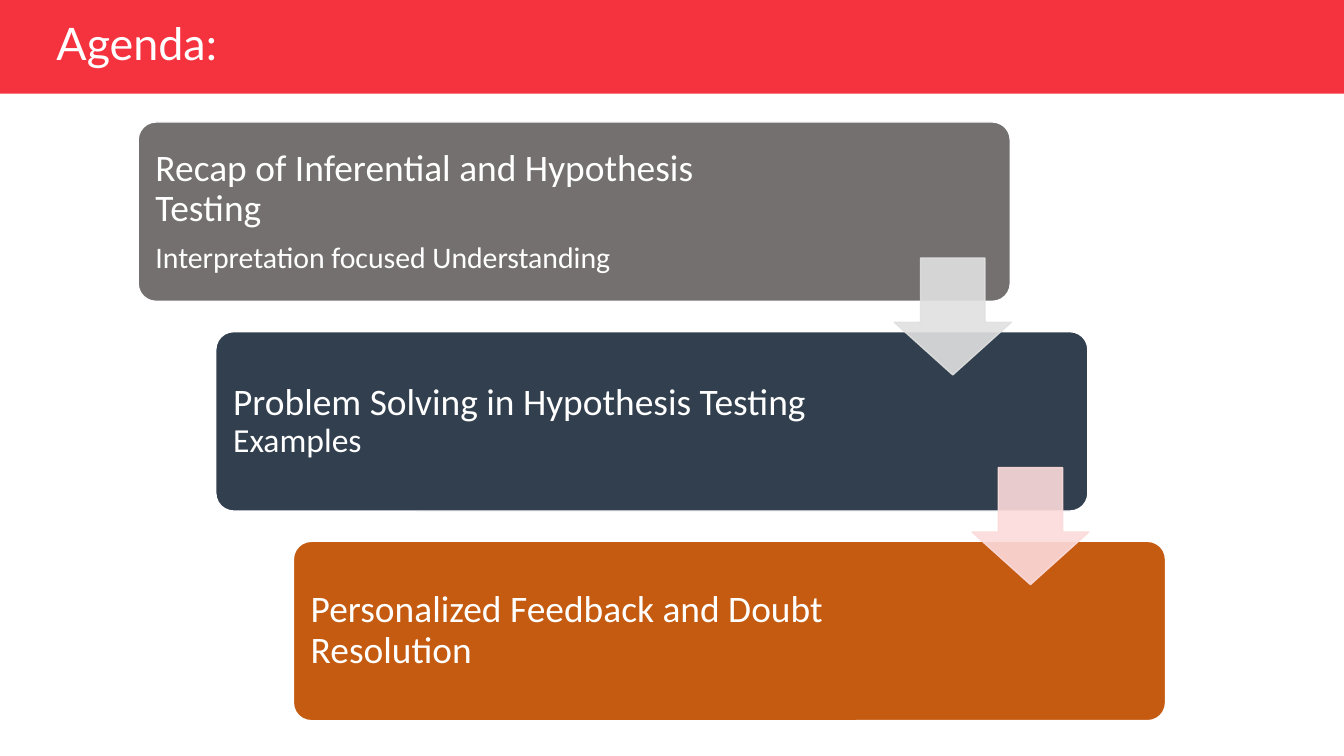
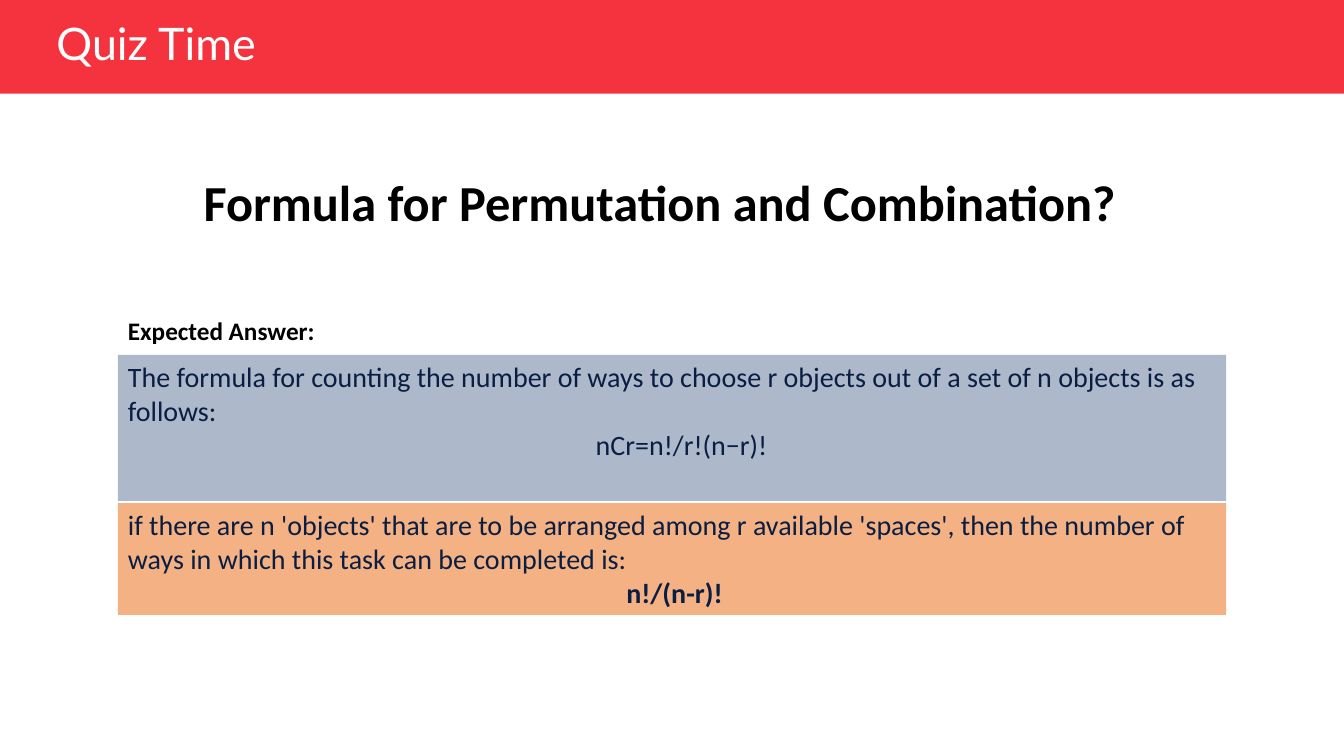
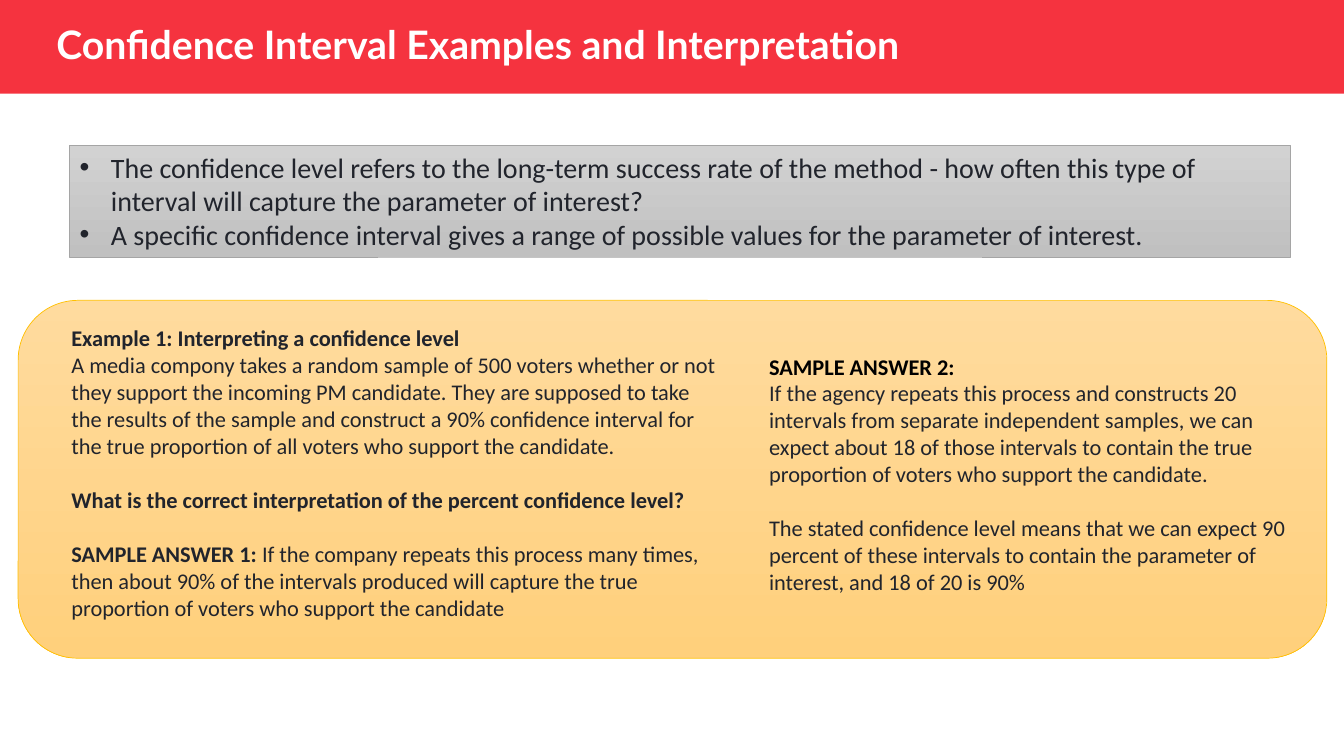
"""Build three statistics lesson slides: agenda, quiz and confidence intervals."""
from dataclasses import dataclass
from typing import Optional, Sequence

from lxml import etree
from pptx import Presentation
from pptx import util as u
from pptx.dml.color import RGBColor
from pptx.enum import shapes, text
from pptx.oxml import ns

COLORS = {
    "band": "F5333F", "white": "FFFFFF", "black": "000000", "ink": "21242C",
    "navy": "091E42", "grey": "757070", "slate": "323F4F", "rust": "C55A11",
    "silver": "E0E0E0", "pink": "FCDBDB", "blue": "ADB9CA", "peach": "F4B183",
    "steel_top": "D2D2D2", "steel_end": "C0C0C0", "steel_line": "A5A5A5",
    "sand_top": "FFDB9E", "sand_end": "FFD07C", "gold": "FFC000",
}
PAGE_WIDTH, PAGE_HEIGHT = 13.33, 7.5
TITLE_ONLY, TITLE_AND_BODY = 5, 1
BLANK_LINE = 19.5


@dataclass
class Area:
    left: float
    top: float
    width: float
    height: float

    def lengths(self) -> list:
        return [u.Inches(v) for v in (self.left, self.top, self.width, self.height)]


@dataclass
class Line:
    text: str
    size: float
    color: str = "black"
    bold: bool = False
    before: float = 0
    spacing: float = 1.0
    centered: bool = False
    lead: str = ""
    font: str = "Calibri"
    margin: float = 0
    bullet: bool = False


@dataclass
class Step:
    fill: str
    lines: Sequence[Line]
    arrow: Optional[str] = None


def rgb(name: str) -> RGBColor:
    return RGBColor.from_string(COLORS[name])


def write(frame, lines: Sequence[Line], anchor=text.MSO_ANCHOR.TOP) -> None:
    frame.word_wrap = True
    frame.auto_size = text.MSO_AUTO_SIZE.NONE
    frame.vertical_anchor = anchor
    for index, line in enumerate(lines):
        para = frame.add_paragraph() if index else frame.paragraphs[0]
        para.alignment = text.PP_ALIGN.CENTER if line.centered else text.PP_ALIGN.LEFT
        para.line_spacing = line.spacing
        para.space_before = u.Pt(line.before)
        props = para._p.get_or_add_pPr()
        if line.margin:
            margin = u.Inches(line.margin)
            props.set("marL", str(margin))
            props.set("indent", str(-margin if line.bullet else 0))
        if line.bullet:
            etree.SubElement(props, ns.qn("a:buChar")).set("char", "•")
        if line.lead:
            lead = para.add_run()
            lead.text = line.lead
            lead.font.bold = True
        para.add_run().text = line.text
        font = para.font
        font.name, font.size, font.bold = line.font, u.Pt(line.size), line.bold
        font.color.rgb = rgb(line.color)


def add_block(page, kind, area: Area, fill: str, outline: Optional[str] = None,
              weight: float = 1):
    block = page.shapes.add_shape(kind, *area.lengths())
    block.shadow.inherit = False
    block.fill.solid()
    block.fill.fore_color.rgb = rgb(fill)
    set_outline(block, outline, weight)
    return block


def set_outline(block, outline: Optional[str], weight: float) -> None:
    if outline is None:
        block.line.fill.background()
        return
    block.line.color.rgb = rgb(outline)
    block.line.width = u.Pt(weight)


def shade(block, top: str, end: str) -> None:
    block.fill.gradient()
    block.fill.gradient_angle = 270
    for stop, name in zip(block.fill.gradient_stops, (top, end)):
        stop.color.rgb = rgb(name)
    for stop, position in zip(block.fill.gradient_stops, (0, 1)):
        stop.position = position


def add_text(page, area: Area, lines: Sequence[Line]) -> None:
    write(page.shapes.add_textbox(*area.lengths()).text_frame, lines)


def place(shape, area: Area) -> None:
    shape.left, shape.top, shape.width, shape.height = area.lengths()


def add_page(deck, layout: int, title: str, width: float, size: float = 32,
             bold: bool = False):
    page = deck.slides.add_slide(deck.slide_layouts[layout])
    place(page.shapes.title, Area(0.46, 0.18, width, 0.56))
    write(page.shapes.title.text_frame,
          [Line(title, size, "white", bold, spacing=0.9, font="Lato")],
          text.MSO_ANCHOR.MIDDLE)
    return page


def add_master_band(deck, page) -> None:
    band = add_block(page, shapes.MSO_SHAPE.RECTANGLE, Area(0, 0, PAGE_WIDTH, 0.93), "band")
    deck.slide_master.shapes.element.insert(2, band.element)


def add_arrow(page, area: Area, color: str) -> None:
    arrow = add_block(page, shapes.MSO_SHAPE.DOWN_ARROW, area, color, color)
    arrow.adjustments[0], arrow.adjustments[1] = 0.55, 0.45
    for tint in list(arrow.element.spPr.iter(ns.qn("a:srgbClr"))):
        etree.SubElement(tint, ns.qn("a:alpha")).set("val", "90000")


def build_agenda(deck) -> None:
    page = add_page(deck, TITLE_ONLY, "Agenda:", 5.45)
    add_master_band(deck, page)

    def step_line(words: str, size: float = 26.7, before: float = 0) -> Line:
        return Line(words, size, "white", before=before, spacing=0.9)

    steps = [
        Step("grey", [step_line("Recap of Inferential and Hypothesis Testing"),
                      step_line("Interpretation focused Understanding", 21.3, 9.3)], "silver"),
        Step("slate", [step_line("Problem Solving in Hypothesis Testing"),
                       step_line("Examples", 24)], "pink"),
        Step("rust", [step_line("Personalized Feedback and Doubt Resolution")]),
    ]
    corners = [(1.37 + 0.77 * i, 1.21 + 2.08 * i) for i in range(len(steps))]
    for step, (left, top) in zip(steps, corners):
        card = add_block(page, shapes.MSO_SHAPE.ROUNDED_RECTANGLE,
                         Area(left, top, 8.65, 1.78), step.fill, "white")
        card.adjustments[0] = 0.1
        card.text_frame.margin_left = u.Inches(0.12)
        card.text_frame.margin_right = u.Inches(2)
        write(card.text_frame, step.lines, text.MSO_ANCHOR.MIDDLE)
    for step, (left, top) in zip(steps, corners):
        if step.arrow:
            add_arrow(page, Area(left + 7.5, top + 1.35, 1.16, 1.16), step.arrow)


def build_quiz(deck) -> None:
    page = add_page(deck, TITLE_ONLY, "Quiz Time", 7.77)
    add_text(page, Area(1.92, 1.65, 9.72, 0.71),
             [Line("Formula for Permutation and Combination?", 36, bold=True)])
    answers = [
        (Area(1.17, 3.52, 10.99, 1.45), "blue",
         Line("The formula for counting the number of ways to choose r objects out of "
              "a set of n objects is as follows:", 20, "navy"),
         Line("nCr=n!/r!(n−r)!", 20, "navy", centered=True, margin=0.19)),
        (Area(1.17, 4.99, 10.99, 1.11), "peach",
         Line("if there are n 'objects' that are to be arranged among r available "
              "'spaces', then the number of ways in which this task can be completed is:",
              20, "navy"),
         Line("n!/(n-r)!", 20, "navy", True, centered=True, margin=0.05)),
    ]
    for area, fill, wording, formula in answers:
        panel = add_block(page, shapes.MSO_SHAPE.RECTANGLE, area, fill)
        write(panel.text_frame, [wording, formula])
    add_text(page, Area(1.17, 3.08, 3.01, 0.4), [Line("Expected Answer:", 18, bold=True)])


def build_intervals(deck) -> None:
    page = add_page(deck, TITLE_AND_BODY, "Confidence Interval Examples and Interpretation",
                    10.64, 28, True)
    panel = add_block(page, shapes.MSO_SHAPE.ROUNDED_RECTANGLE,
                      Area(0.18, 2.98, 12.98, 3.55), "sand_top", "gold", 0.5)
    shade(panel, "sand_top", "sand_end")

    body = page.placeholders[1]
    place(body, Area(0.69, 1.44, 12.11, 1.11))
    shade(body, "steel_top", "steel_end")
    set_outline(body, "steel_line", 0.5)
    points = [
        "The confidence level refers to the long-term success rate of the method - how "
        "often this type of interval will capture the parameter of interest?",
        "A specific confidence interval gives a range of possible values for the "
        "parameter of interest.",
    ]
    write(body.text_frame,
          [Line(point, 20, "ink", margin=0.31, bullet=True) for point in points])

    add_text(page, Area(0.61, 3.17, 6.67, 3.37), [
        Line("Example 1: Interpreting a confidence level", 16, "ink", True),
        Line("A media compony takes a random sample of 500 voters whether or not they "
             "support the incoming PM candidate. They are supposed to take the results of "
             "the sample and construct a 90% confidence interval for the true proportion "
             "of all voters who support the candidate.", 16, "ink"),
        Line("What is the correct interpretation of the percent confidence level?",
             16, "ink", True, BLANK_LINE),
        Line("If the company repeats this process many times, then about 90% of the "
             "intervals produced will capture the true proportion of voters who support "
             "the candidate", 16, "ink", before=BLANK_LINE, lead="SAMPLE ANSWER 1: "),
    ])
    add_text(page, Area(7.53, 3.45, 5.44, 2.79), [
        Line("SAMPLE ANSWER 2:", 16, bold=True),
        Line("If the agency repeats this process and constructs 20 intervals from "
             "separate independent samples, we can expect about 18 of those intervals to "
             "contain the true proportion of voters who support the candidate.", 16, "ink"),
        Line("The stated confidence level means that we can expect 90 percent of these "
             "intervals to contain the parameter of interest, and 18 of 20 is 90%",
             16, "ink", before=BLANK_LINE),
    ])


def main() -> None:
    deck = Presentation()
    deck.slide_width, deck.slide_height = u.Inches(PAGE_WIDTH), u.Inches(PAGE_HEIGHT)
    build_agenda(deck)
    build_quiz(deck)
    build_intervals(deck)
    deck.save("out.pptx")


if __name__ == "__main__":
    main()
